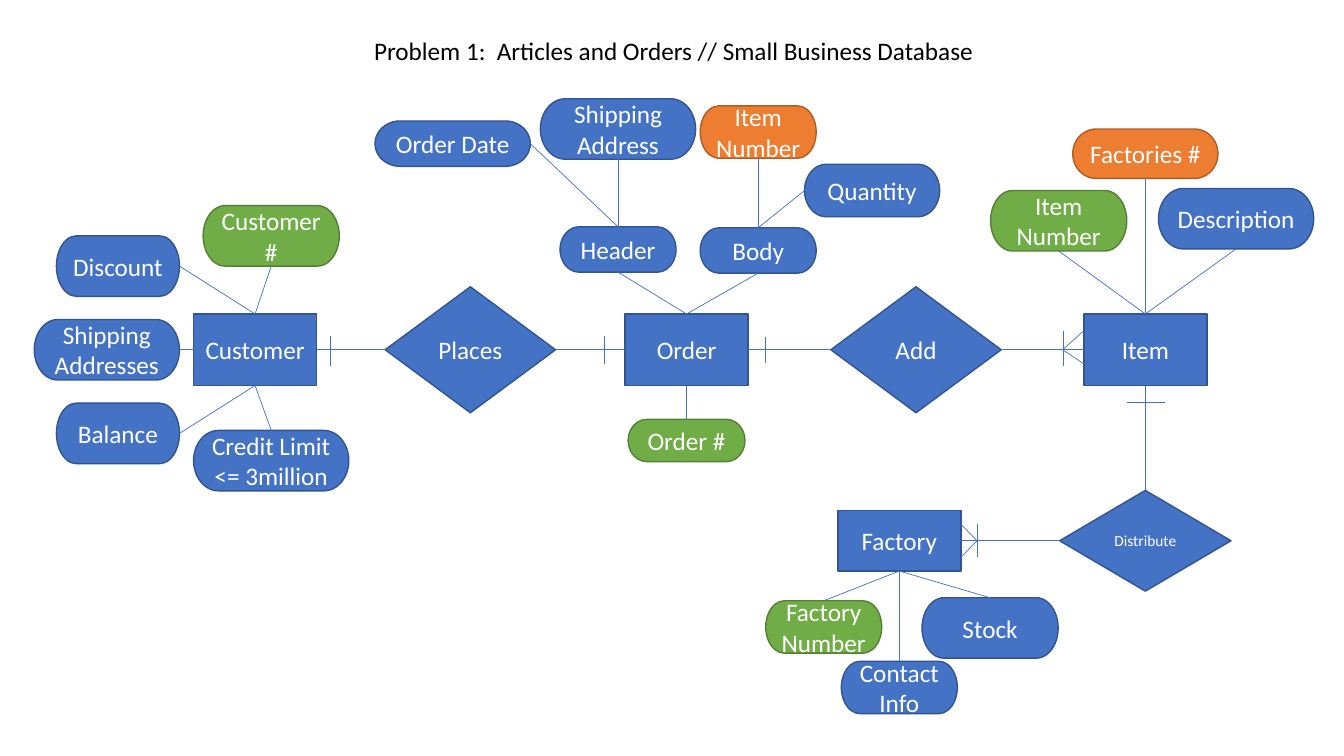
from lxml.etree import SubElement
from pptx import Presentation
from pptx.dml.color import RGBColor
from pptx.enum.shapes import MSO_CONNECTOR, MSO_SHAPE
from pptx.enum.text import MSO_ANCHOR, PP_ALIGN
from pptx.oxml.ns import qn
from pptx.util import Inches, Pt

CELL = 0.1
FONT = "Calibri"
BLUE, GREEN, ORANGE = "4472C4", "70AD47", "ED7D31"
OUTLINES = {BLUE: "325491", GREEN: "538035", ORANGE: "AF5C24"}
TOP, LEFT, BOTTOM, RIGHT = range(4)
MAIN_ROW, FACTORY_ROW = 34.7, 53.65

ENTITIES = [
    ("Customer", 25.3, MAIN_ROW, 7.1),
    ("Order", 68.1, MAIN_ROW, 7.1),
    ("Item", 113.6, MAIN_ROW, 7.1),
    ("Factory", 89.2, FACTORY_ROW, 6),
]
RELATIONSHIPS = [
    ("Places", 46.65, MAIN_ROW, 16.9, 12.5, 18),
    ("Add", 90.85, MAIN_ROW, 16.9, 12.5, 18),
    ("Distribute", 113.6, FACTORY_ROW, 17, 10, 11),
]
ATTRIBUTES = [
    ("Customer", TOP, "Customer #", BOTTOM, 26.9, 23.4, 13.5, 6, GREEN),
    ("Customer", TOP, "Discount", RIGHT, 11.7, 26.4, 12.2, 6, BLUE),
    ("Customer", LEFT, "Shipping Addresses", RIGHT, 10.6, MAIN_ROW, 14.4, 6, BLUE),
    ("Customer", BOTTOM, "Balance", RIGHT, 11.7, 43, 12.2, 6, BLUE),
    ("Customer", BOTTOM, "Credit Limit\n<= 3million", TOP, 26.9, 45.7, 15.4, 6, BLUE),
    ("Order", TOP, "Header", BOTTOM, 61.3, 24.75, 11.5, 4.5, BLUE),
    ("Order", TOP, "Body", BOTTOM, 75.2, 24.85, 11.5, 4.5, BLUE),
    ("Order", BOTTOM, "Order #", TOP, 68.1, 43.7, 11.6, 4.2, GREEN),
    ("Header", TOP, "Order Date", RIGHT, 44.9, 14.25, 15.4, 4.5, BLUE),
    ("Header", TOP, "Shipping Address", BOTTOM, 61.3, 12.8, 15.4, 6, BLUE),
    ("Body", TOP, "Item Number", BOTTOM, 75.2, 13.1, 11.5, 5.2, ORANGE),
    ("Body", TOP, "Quantity", LEFT, 86.5, 18.9, 13.4, 5.2, BLUE),
    ("Item", TOP, "Item Number", BOTTOM, 105, 21.9, 13.5, 6, GREEN),
    ("Item", TOP, "Factories #", BOTTOM, 113.6, 15.25, 14.4, 4.9, ORANGE),
    ("Item", TOP, "Description", BOTTOM, 122.6, 21.7, 15.4, 6, BLUE),
    ("Factory", BOTTOM, "Factory Number", TOP, 81.7, 62.2, 11.5, 5.2, GREEN),
    ("Factory", BOTTOM, "Contact Info", TOP, 89.2, 68.2, 11.5, 5.2, BLUE),
    ("Factory", BOTTOM, "Stock", TOP, 98.2, 62.3, 13.5, 6, BLUE),
]
LINKS = [
    ("Customer", RIGHT, "Places", LEFT),
    ("Places", RIGHT, "Order", LEFT),
    ("Order", RIGHT, "Add", LEFT),
    ("Add", RIGHT, "Item", LEFT),
    ("Item", BOTTOM, "Distribute", TOP),
    ("Factory", RIGHT, "Distribute", LEFT),
]
BARS = [
    (32.8, 33.3, 32.8, 36.3),
    (59.9, 33.3, 59.9, 36.1),
    (75.9, 33.4, 75.9, 36),
    (105.5, 32.8, 105.5, 36.3),
    (96.9, 52, 96.9, 55.3),
    (111.8, 39.9, 115.5, 39.9),
]
CROWS_FEET = [
    (105.4, MAIN_ROW, 107.5, (32.8, 36.1)),
    (96.9, FACTORY_ROW, 95.3, (52, 55.3)),
]


def cells(count):
    """Turn a number of grid cells into a length."""
    return Inches(count * CELL)


def color(value):
    """Turn a hex string into a colour."""
    return RGBColor.from_string(value)


def write(shape, text, size=18, ink="FFFFFF", align=PP_ALIGN.CENTER, wrap=True):
    """Put formatted text into a shape."""
    frame = shape.text_frame
    frame.text = text
    frame.word_wrap = wrap
    frame.vertical_anchor = MSO_ANCHOR.MIDDLE
    for paragraph in frame.paragraphs:
        paragraph.alignment = align
        font = paragraph.runs[0].font
        font.name, font.size = FONT, Pt(size)
        font.color.rgb = color(ink)


def add_node(slide, kind, text, column, row, width, height, fill=BLUE, size=18):
    """Draw a labelled shape centred on a grid point."""
    shape = slide.shapes.add_shape(
        kind, cells(column - width / 2), cells(row - height / 2),
        cells(width), cells(height))
    shape.shadow.inherit = False
    shape.fill.solid()
    shape.fill.fore_color.rgb = color(fill)
    shape.line.color.rgb = color(OUTLINES[fill])
    shape.line.width = Pt(1)
    write(shape, text, size=size)
    return shape


def add_line(slide, *ends):
    """Draw a thin line between two grid points."""
    line = slide.shapes.add_connector(
        MSO_CONNECTOR.STRAIGHT, *[cells(end) for end in ends])
    line.line.color.rgb = color(BLUE)
    line.line.width = Pt(0.5)
    SubElement(line._element.spPr, qn("a:effectLst"))
    return line


def add_link(slide, start, start_side, end, end_side):
    """Join the sides of two shapes."""
    line = add_line(slide, 0, 0, 0, 0)
    line.begin_connect(start, start_side)
    line.end_connect(end, end_side)


def add_title(slide, text):
    """Place the slide title."""
    title = slide.shapes.title
    title.left, title.top = cells(36.1), cells(3)
    title.width, title.height = cells(61.9), cells(4)
    write(title, text, ink="000000", align=PP_ALIGN.LEFT, wrap=False)


def main():
    """Build the entity relationship slide."""
    presentation = Presentation()
    presentation.slide_width, presentation.slide_height = Inches(13.33), Inches(7.5)
    slide = presentation.slides.add_slide(presentation.slide_layouts[5])
    add_title(slide, "Problem 1:  Articles and Orders // Small Business Database")
    nodes = {}
    for name, column, row, height in ENTITIES:
        nodes[name] = add_node(
            slide, MSO_SHAPE.RECTANGLE, name, column, row, 12.2, height)
    for name, column, row, width, height, size in RELATIONSHIPS:
        nodes[name] = add_node(
            slide, MSO_SHAPE.FLOWCHART_DECISION, name, column, row, width, height,
            size=size)
    for owner, owner_side, name, side, *place, fill in ATTRIBUTES:
        nodes[name] = add_node(
            slide, MSO_SHAPE.FLOWCHART_TERMINATOR, name, *place, fill=fill)
        add_link(slide, nodes[name], side, nodes[owner], owner_side)
    for start, start_side, end, end_side in LINKS:
        add_link(slide, nodes[start], start_side, nodes[end], end_side)
    for bar in BARS:
        add_line(slide, *bar)
    for tip, row, edge, toes in CROWS_FEET:
        for toe in toes:
            add_line(slide, tip, row, edge, toe)
    presentation.save("out.pptx")


main()
